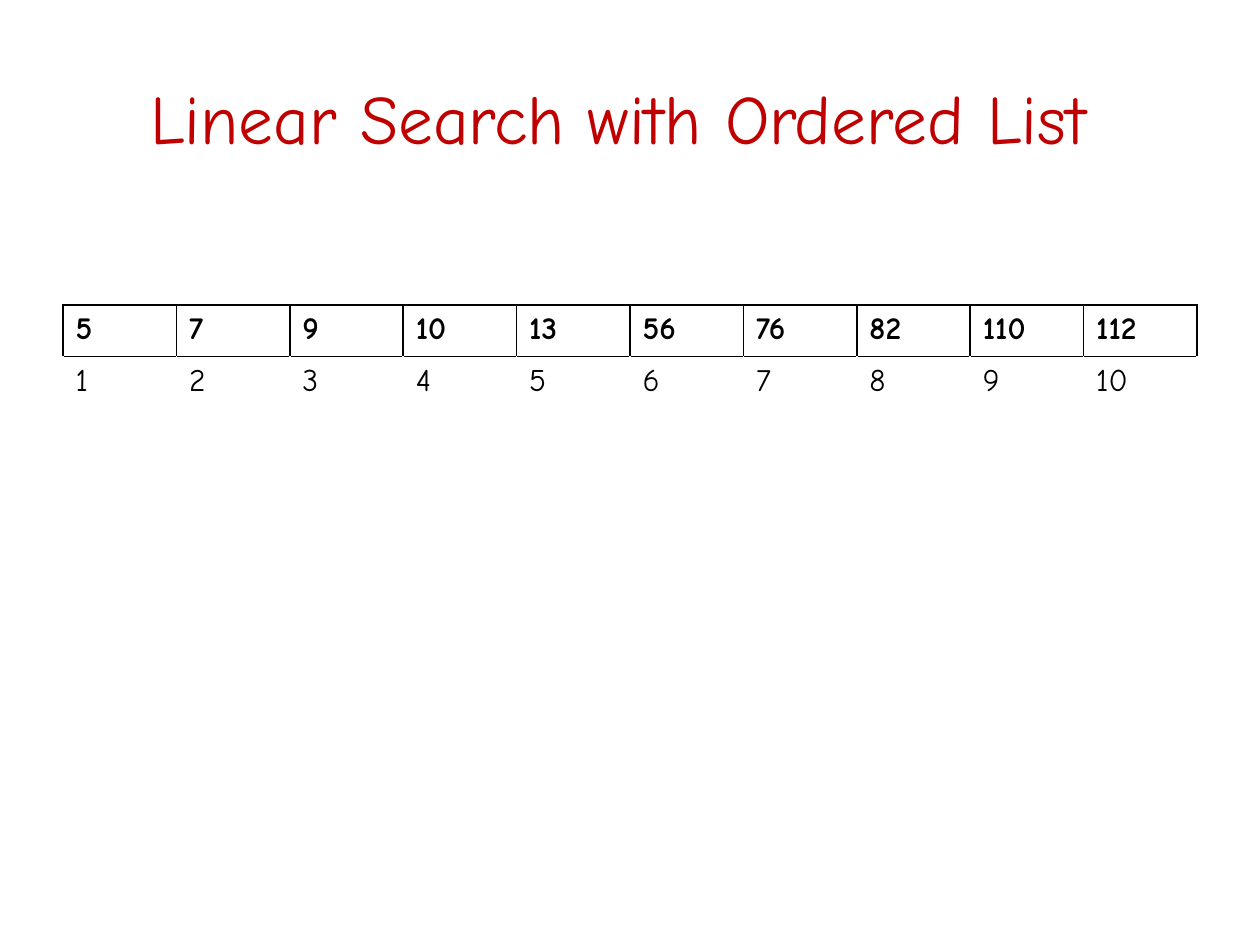
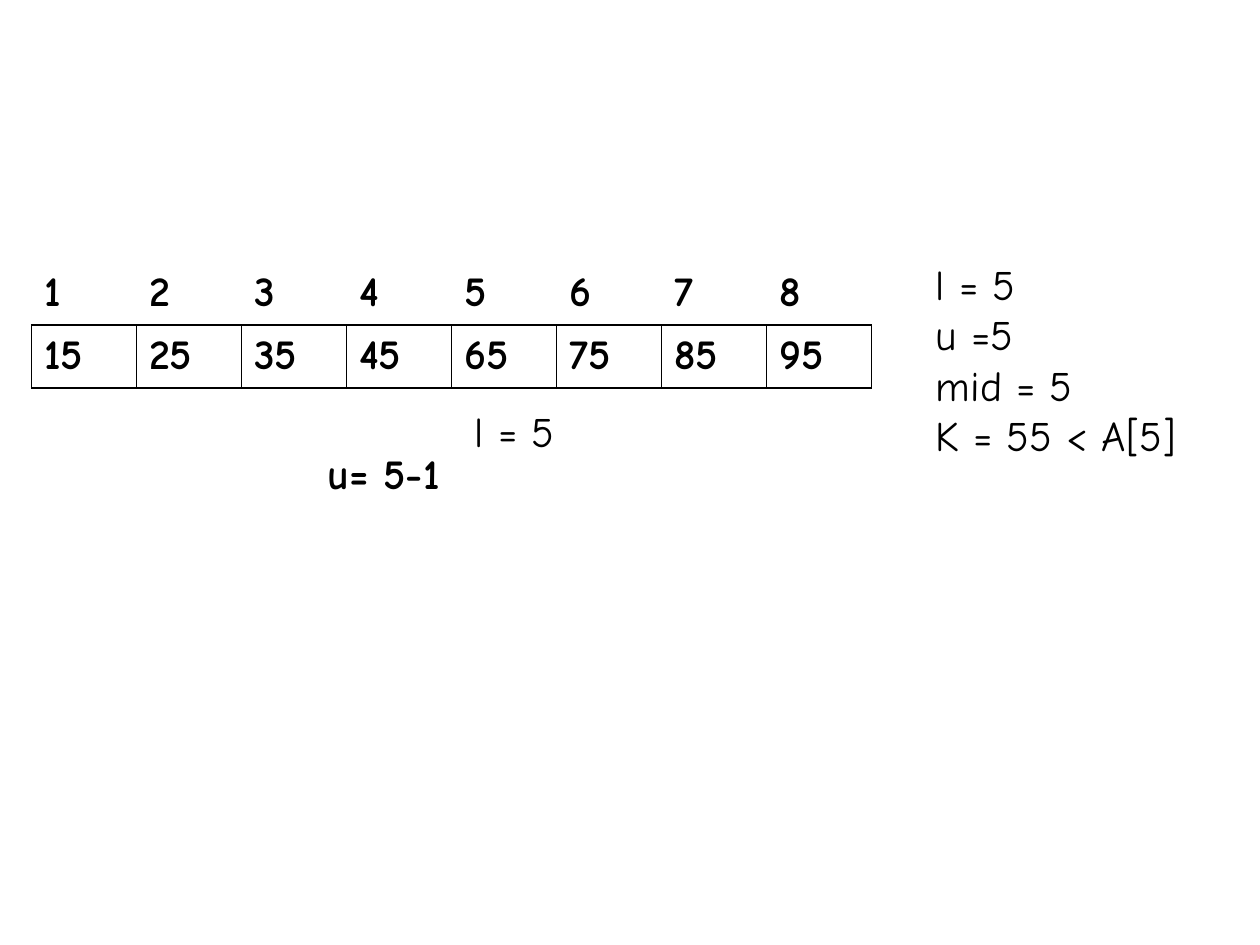
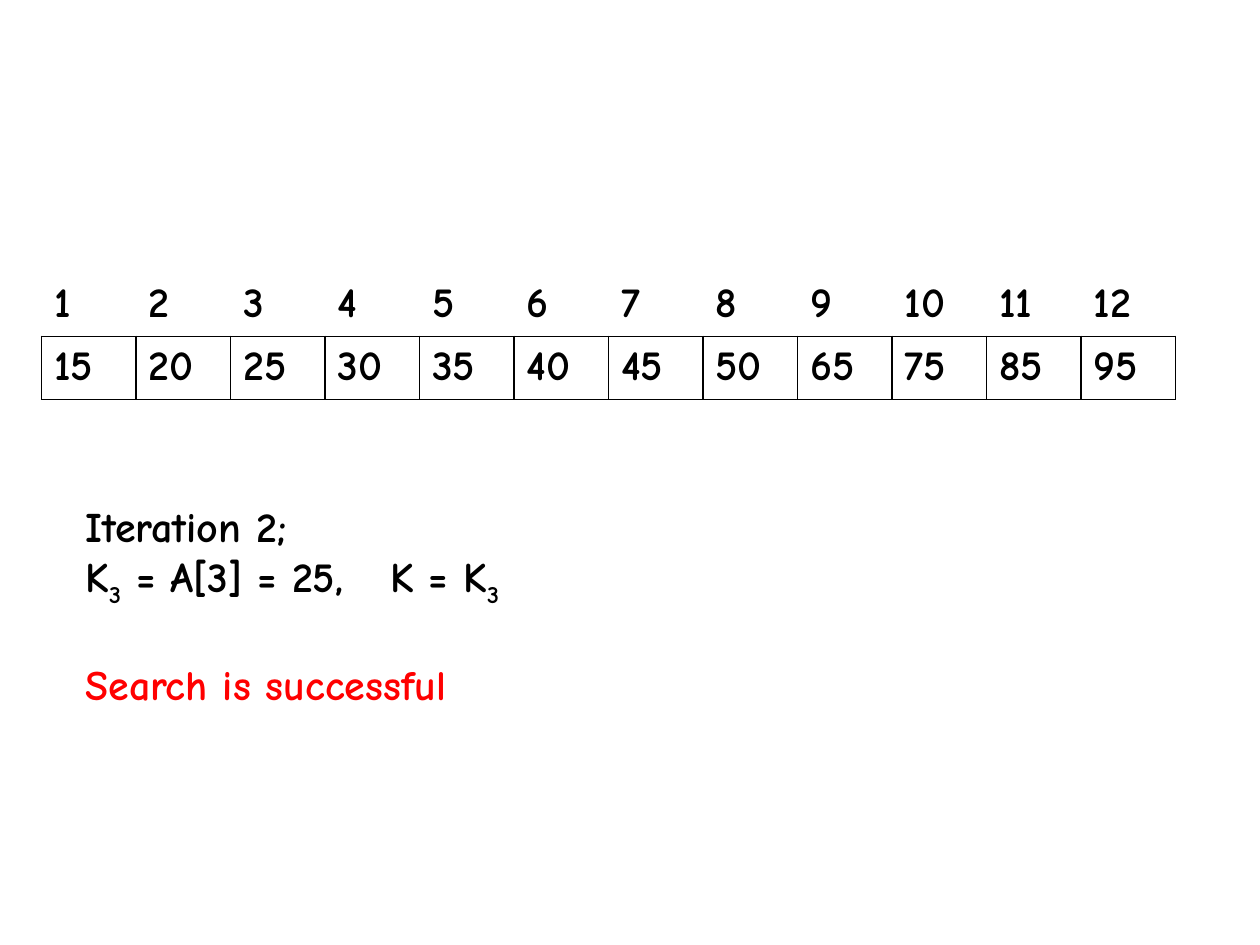
"""Build three slides on searching an ordered list."""
import pptx
import pptx.dml.color
import pptx.enum.text
import pptx.oxml
import pptx.oxml.ns
import pptx.util
from pptx.util import Inches

FONT = "Comic Neue"
BLACK, WHITE, DARK_RED, RED = "000000", "FFFFFF", "C00000", "FF0000"
BODY = 24

TITLE = "Linear Search with Ordered List "
ORDERED_LIST = [5, 7, 9, 10, 13, 56, 76, 82, 110, 112]
BINARY_LIST = [15, 25, 35, 45, 65, 75, 85, 95]
SEARCHED_LIST = [15, 20, 25, 30, 35, 40, 45, 50, 65, 75, 85, 95]
STATE = ["l = 5", "u =5", "mid = 5", "K = 55 < A[5]"]
COMPARISON = [("K", False), ("3", True), (" = A[3] = 25,\tK = K", False), ("3", True)]


def rgb(color):
    return pptx.dml.color.RGBColor.from_string(color)


def add_run(p, text, size=BODY, color=BLACK, bold=False, sub=False):
    r = p.add_run()
    r.text = text
    r.font.name, r.font.size, r.font.bold = FONT, pptx.util.Pt(size), bold
    r.font.color.rgb = rgb(color)
    if sub:
        r.font._element.set("baseline", "-25000")


def add_box(slide, left, top, width, height):
    tf = slide.shapes.add_textbox(*map(Inches, (left, top, width, height))).text_frame
    tf.word_wrap = True
    return tf


def add_lines(tf, lines, **style):
    for i, line in enumerate(lines):
        p = tf.add_paragraph() if i else tf.paragraphs[0]
        add_run(p, line, **style)


def set_borders(cell, colors):
    tc_pr = cell._tc.get_or_add_tcPr()
    for i, side in enumerate("LRTB"):
        tc_pr.insert(i, pptx.oxml.parse_xml(
            f'<a:ln{side} {pptx.oxml.ns.nsdecls("a")} w="12700"><a:solidFill>'
            f'<a:srgbClr val="{colors[side]}"/></a:solidFill></a:ln{side}>'))


def add_array(slide, values, left, top, width, row_height, size=BODY,
              index_first=True, bold_index=True):
    indexes = range(1, len(values) + 1)
    shared = "B" if index_first else "T"
    value_row = (values, True, dict.fromkeys("LRTB", BLACK))
    index_row = (indexes, bold_index, {**dict.fromkeys("LRTB", WHITE), shared: BLACK})
    rows = [index_row, value_row] if index_first else [value_row, index_row]
    table = slide.shapes.add_table(
        2, len(values), *map(Inches, (left, top, width, 2 * row_height))).table
    table.first_row = table.horz_banding = False
    for col in table.columns:
        col.width = Inches(width / len(values))
    for r, (numbers, bold, borders) in enumerate(rows):
        for c, number in enumerate(numbers):
            cell = table.cell(r, c)
            cell.fill.solid()
            cell.fill.fore_color.rgb = rgb(WHITE)
            set_borders(cell, borders)
            add_run(cell.text_frame.paragraphs[0], str(number), size, bold=bold)


def linear_search(slide):
    tf = add_box(slide, 0.5, 0.3, 9, 1.25)
    tf.vertical_anchor = pptx.enum.text.MSO_ANCHOR.MIDDLE
    tf.paragraphs[0].alignment = pptx.enum.text.PP_ALIGN.CENTER
    add_lines(tf, [TITLE], size=39.6, color=DARK_RED)
    add_array(slide, ORDERED_LIST, 0.5, 2.42, 9, 0.41, size=18,
              index_first=False, bold_index=False)


def binary_search(slide):
    add_array(slide, BINARY_LIST, 0.25, 2.08, 6.67, 0.48)
    add_lines(add_box(slide, 7.33, 2, 2.25, 2.12), STATE)
    add_lines(add_box(slide, 3.67, 3.17, 1.67, 0.5), ["l = 5"])
    add_lines(add_box(slide, 2.5, 3.5, 1.67, 0.5), ["u= 5-1"], bold=True)


def successful_search(slide):
    tf = add_box(slide, 0.58, 3.92, 8.75, 1.76)
    add_lines(tf, ["Iteration 2;"], bold=True)
    p = tf.add_paragraph()
    p._p.get_or_add_pPr().append(pptx.oxml.parse_xml(
        f'<a:tabLst {pptx.oxml.ns.nsdecls("a")}>'
        f'<a:tab pos="{Inches(2.42)}" algn="l"/></a:tabLst>'))
    for text, sub in COMPARISON:
        add_run(p, text, bold=True, sub=sub)
    p = tf.add_paragraph()
    p.space_before = pptx.util.Pt(29)
    add_run(p, "Search is successful", color=RED, bold=True)
    add_array(slide, SEARCHED_LIST, 0.33, 2.17, 9, 0.5)


def main():
    prs = pptx.Presentation()
    prs.slide_width, prs.slide_height = Inches(10), Inches(7.5)
    for build in (linear_search, binary_search, successful_search):
        build(prs.slides.add_slide(prs.slide_layouts[6]))
    prs.save("out.pptx")


if __name__ == "__main__":
    main()
